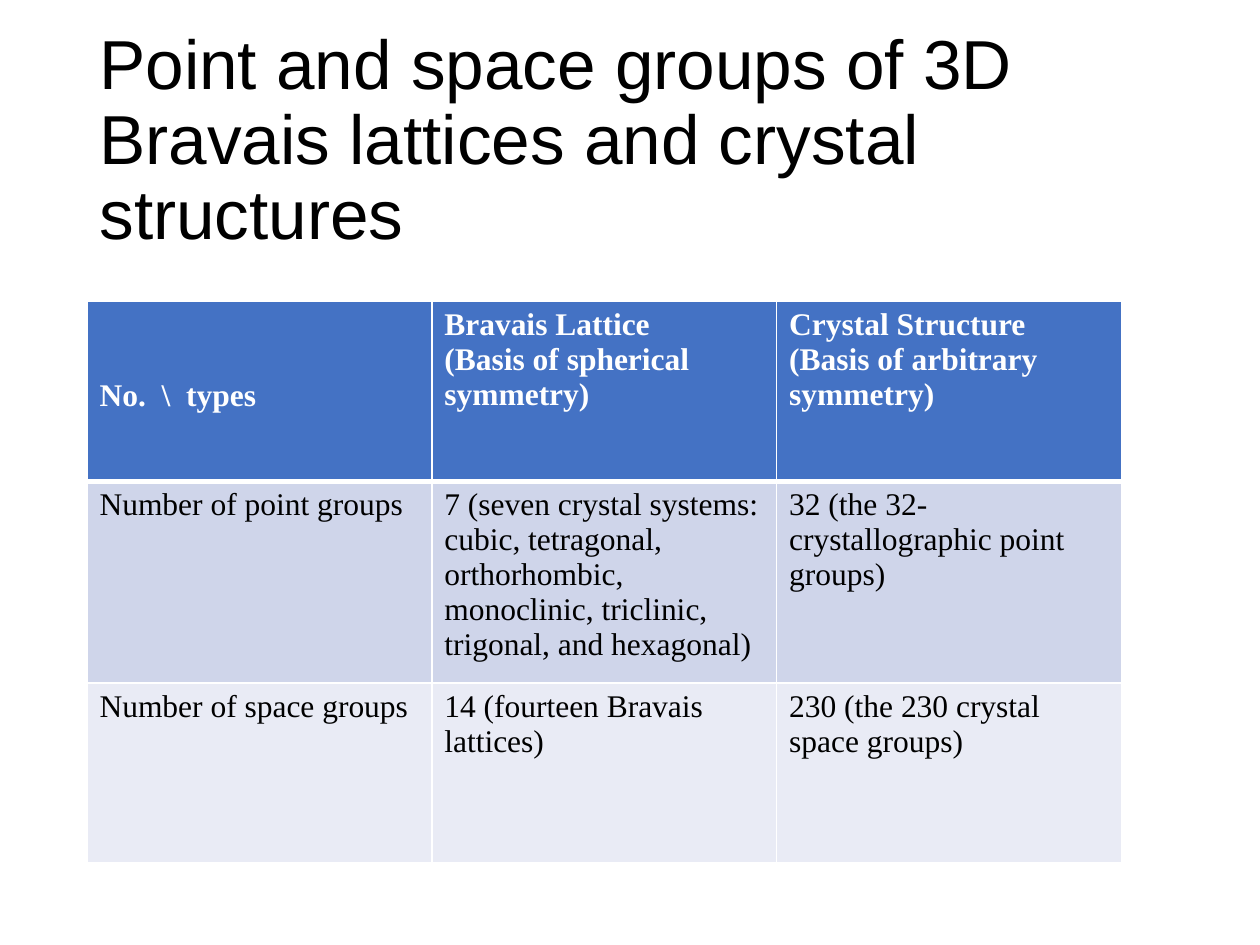
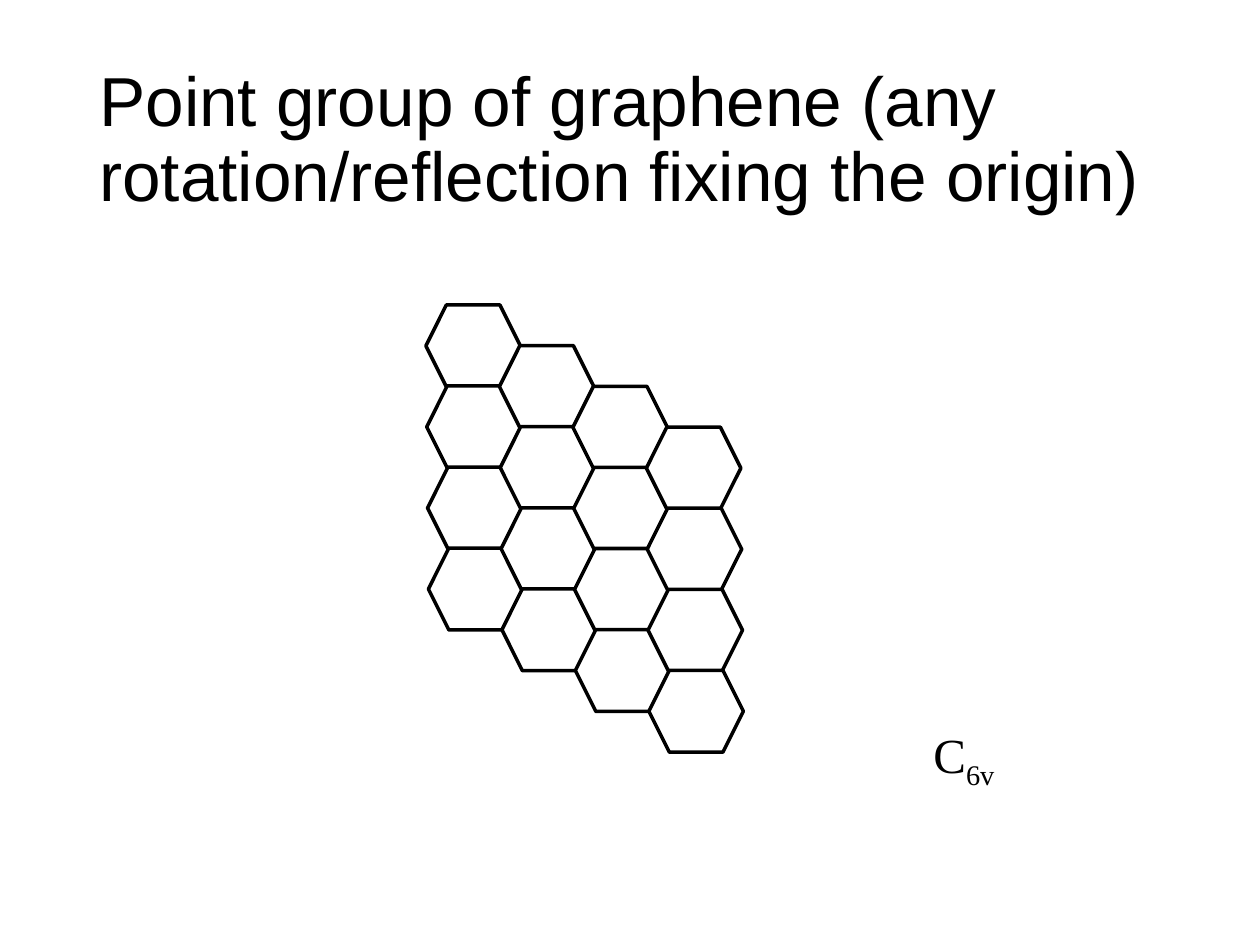
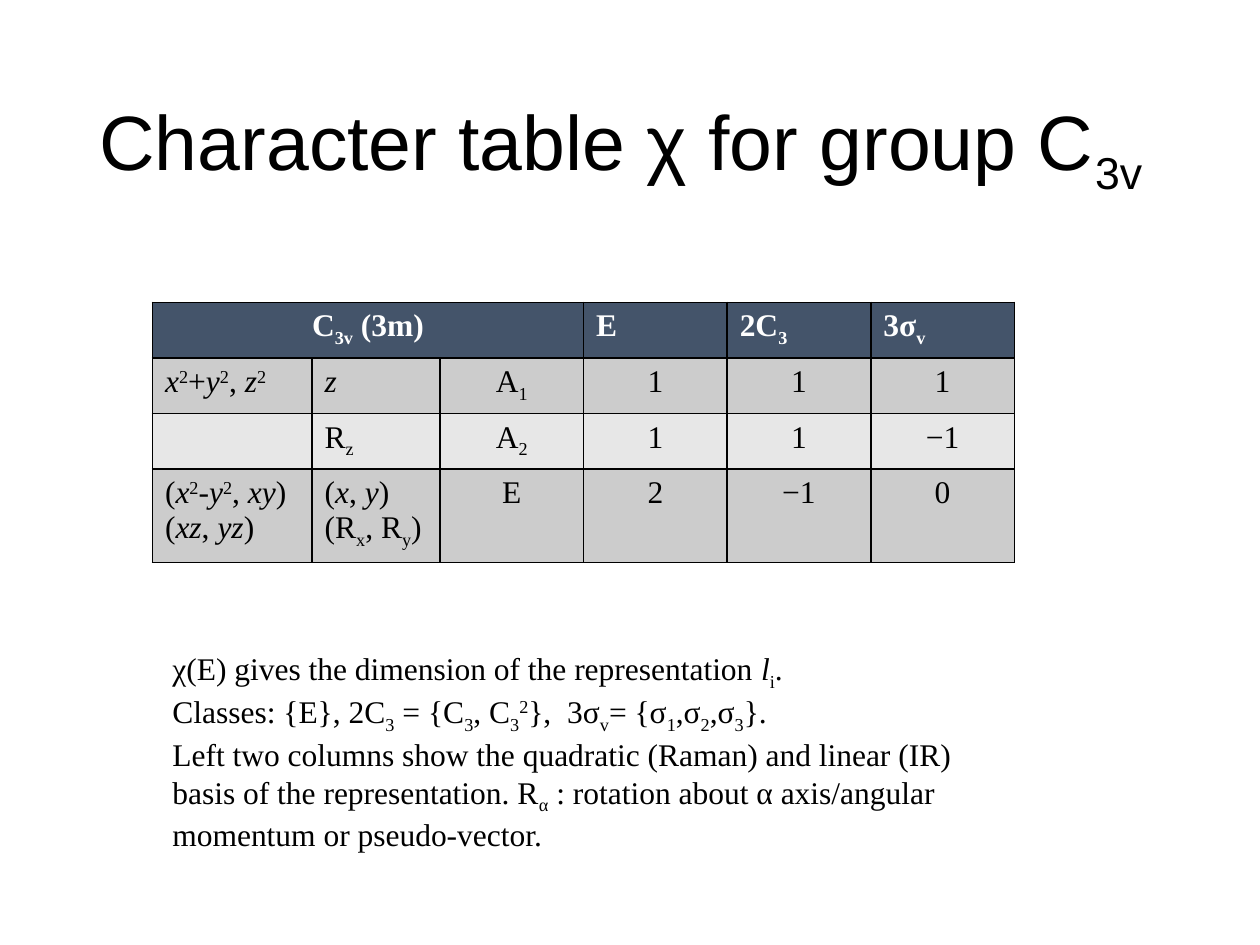
"""Build three slides on crystal point groups, space groups and characters."""
from itertools import product

from lxml import etree
from pptx import Presentation
from pptx import util as u
from pptx.dml.color import RGBColor
from pptx.enum import shapes, text
from pptx.oxml.ns import qn

COLOURS = {
    "ink": "000000", "paper": "FFFFFF",
    "blue": "4472C4", "blue band": "CFD5EA", "blue pale": "E9EBF5",
    "slate": "44546A", "grey band": "CCCCCC", "grey pale": "E7E7E7",
}
GRID_COLUMNS, GRID_ROWS = 100, 75
TITLE_BOX = (6.9, 4, 86.2, 14.5)
MARKS = {"~": ("baseline", "-25000"), "^": ("baseline", "30000"), "*": ("i", "1")}


def apply(target, values):
    """Set each named attribute of the target."""
    for name, value in values.items():
        setattr(target, name, value)


def colour(name):
    """Look up a palette colour."""
    return RGBColor.from_string(COLOURS[name])


def split_marks(line):
    """Yield (piece, mark): ~ encloses subscript, ^ superscript, * italic."""
    piece, mark = "", None
    for letter in line:
        if letter in MARKS:
            if piece:
                yield piece, mark
            piece, mark = "", None if letter == mark else letter
        else:
            piece += letter
    if piece:
        yield piece, mark


class Deck:
    """Hold the presentation, its grid and the current slide."""

    def __init__(self):
        """Start an empty deck of 10 by 7.5 inches."""
        self.show = Presentation()
        apply(self.show, {"slide_width": u.Inches(10), "slide_height": u.Inches(7.5)})
        self.column = self.show.slide_width / GRID_COLUMNS
        self.row = self.show.slide_height / GRID_ROWS

    def box(self, left, top, width, height):
        """Turn grid columns and rows into lengths."""
        return [u.Emu(round(n * unit)) for n, unit in
                zip((left, top, width, height), (self.column, self.row) * 2)]

    def slide(self, title, size=39.6):
        """Add a blank slide with its title."""
        self.current = self.show.slides.add_slide(self.show.slide_layouts[6])
        self.text(TITLE_BOX, title, size, "Arial", {"line_spacing": 0.9},
                  vertical_anchor=text.MSO_ANCHOR.MIDDLE)

    def typeset(self, frame, content, font, paragraph_format=None, ink="ink"):
        """Fill a text frame, one paragraph a line."""
        for index, line in enumerate(content.split("\n")):
            paragraph = frame.add_paragraph() if index else frame.paragraphs[0]
            apply(paragraph, paragraph_format or {})
            for piece, mark in split_marks(line):
                run = paragraph.add_run()
                run.text = piece
                apply(run.font, font)
                run.font.color.rgb = colour(ink)
                if mark:
                    run.font._element.set(*MARKS[mark])

    def text(self, place, content, size, face="Times New Roman",
             paragraph_format=None, **frame_format):
        """Add a wrapped text box."""
        frame = self.current.shapes.add_textbox(*self.box(*place)).text_frame
        apply(frame, {"word_wrap": True, **frame_format})
        self.typeset(frame, content, {"size": u.Pt(size), "name": face}, paragraph_format)

    def hexagon(self, place):
        """Add one outlined lattice cell."""
        cell = self.current.shapes.add_shape(shapes.MSO_SHAPE.HEXAGON, *self.box(*place))
        cell.shadow.inherit = False
        cell.fill.solid()
        cell.fill.fore_color.rgb = colour("paper")
        cell.line.color.rgb = colour("ink")
        cell.line.width = u.Pt(2)

    def border(self, cell, edge, ink, points):
        """Draw one edge of a table cell."""
        line = etree.SubElement(cell._tc.get_or_add_tcPr(), qn("a:ln" + edge),
                                w=str(u.Pt(points)))
        fill = etree.SubElement(line, qn("a:solidFill"))
        etree.SubElement(fill, qn("a:srgbClr"), val=COLOURS[ink])

    def table(self, left, top, widths, height, rows, fills, rule, header_rule=1,
              header_span=1, centre_from=None):
        """Add a table with a header row and alternating body bands."""
        place = self.box(left, top, sum(widths), height * len(rows))
        grid = self.current.shapes.add_table(len(rows), len(widths), *place).table
        apply(grid, {"horz_banding": False})
        for column, width in zip(grid.columns, widths):
            column.width = u.Emu(round(width * self.column))
        for row in grid.rows:
            row.height = u.Emu(round(height * self.row))
        if header_span > 1:
            grid.cell(0, 0).merge(grid.cell(0, header_span - 1))
        header, *bands = fills
        for r, c in product(range(len(rows)), range(len(widths))):
            cell = grid.cell(r, c)
            for edge in "LRTB":
                heavy = (r, edge) in ((0, "B"), (1, "T"))
                self.border(cell, edge, rule, header_rule if heavy else 1)
            cell.fill.solid()
            cell.fill.fore_color.rgb = colour(bands[(r - 1) % 2] if r else header)
            body_centred = centre_from is not None and r and c >= centre_from
            centred = body_centred or cell.is_merge_origin
            self.typeset(cell.text_frame, rows[r][c],
                         {"size": u.Pt(18), "name": "Times New Roman", "bold": r == 0},
                         {"alignment": text.PP_ALIGN.CENTER if centred else text.PP_ALIGN.LEFT},
                         "ink" if r else "paper")
        return grid


def group_counts(deck):
    """Compare the numbers of point and space groups."""
    deck.slide("Point and space groups of 3D Bravais lattices and crystal structures")
    counts = deck.table(6.9, 23.9, [27.37] * 3, 14.3, [
        ["No.  \\  types", "Bravais Lattice\n(Basis of spherical symmetry)",
         "Crystal Structure\n(Basis of arbitrary symmetry)"],
        ["Number of point groups",
         "7 (seven crystal systems: cubic, tetragonal, orthorhombic, monoclinic, "
         "triclinic, trigonal, and hexagonal)",
         "32 (the 32-crystallographic point groups)"],
        ["Number of space groups", "14 (fourteen Bravais lattices)",
         "230 (the 230 crystal space groups)"],
    ], ("blue", "blue band", "blue pale"), "paper", header_rule=3)
    counts.cell(0, 0).margin_top = u.Inches(0.61)


def graphene(deck):
    """Draw the four by four graphene lattice."""
    deck.slide("Point group of graphene (any rotation/reflection fixing the origin)")
    deck.text((73.1, 57, 18.6, 5.7), "C~6v~", 28,
              auto_size=text.MSO_AUTO_SIZE.SHAPE_TO_FIT_TEXT)
    steps = 3
    for across, down in product(range(steps + 1), repeat=2):
        deck.hexagon((33.8 + (17.5 * across + 0.2 * down) / steps,
                      24.2 + (9.7 * across + 19.3 * down) / steps, 7.5, 6.5))


def characters(deck):
    """Show the character table and how to read it."""
    deck.slide("Character table χ for group C~3v~", 44)
    deck.table(12.1, 24, [12.67, 10.15] + [11.4] * 4, 4.15, [
        ["C~3v~ (3m)", "", "", "E", "2C~3~", "3σ~v~"],
        ["*x*^2^+*y*^2^, *z*^2^", "*z*", "A~1~", "1", "1", "1"],
        ["", "R~z~", "A~2~", "1", "1", "−1"],
        ["(*x*^2^-*y*^2^, *xy*)\n(*xz*, *yz*)", "(*x*, *y*)\n(R~x~, R~y~)",
         "E", "2", "−1", "0"],
    ], ("slate", "grey band", "grey pale"), "ink", header_span=3, centre_from=2)
    deck.text((12.7, 51, 66.7, 16.2),
              "χ(E) gives the dimension of the representation *l*~i~.\n"
              "Classes: {E}, 2C~3~ = {C~3~, C~3~^2^},  3σ~v~= {σ~1~,σ~2~,σ~3~}.\n"
              "Left two columns show the quadratic (Raman) and linear (IR) basis of the "
              "representation. R~α~ : rotation about α axis/angular momentum or "
              "pseudo-vector.", 18,
              auto_size=text.MSO_AUTO_SIZE.SHAPE_TO_FIT_TEXT)


def main():
    """Build and save the deck."""
    deck = Deck()
    for build in (group_counts, graphene, characters):
        build(deck)
    deck.show.save("out.pptx")


if __name__ == "__main__":
    main()
